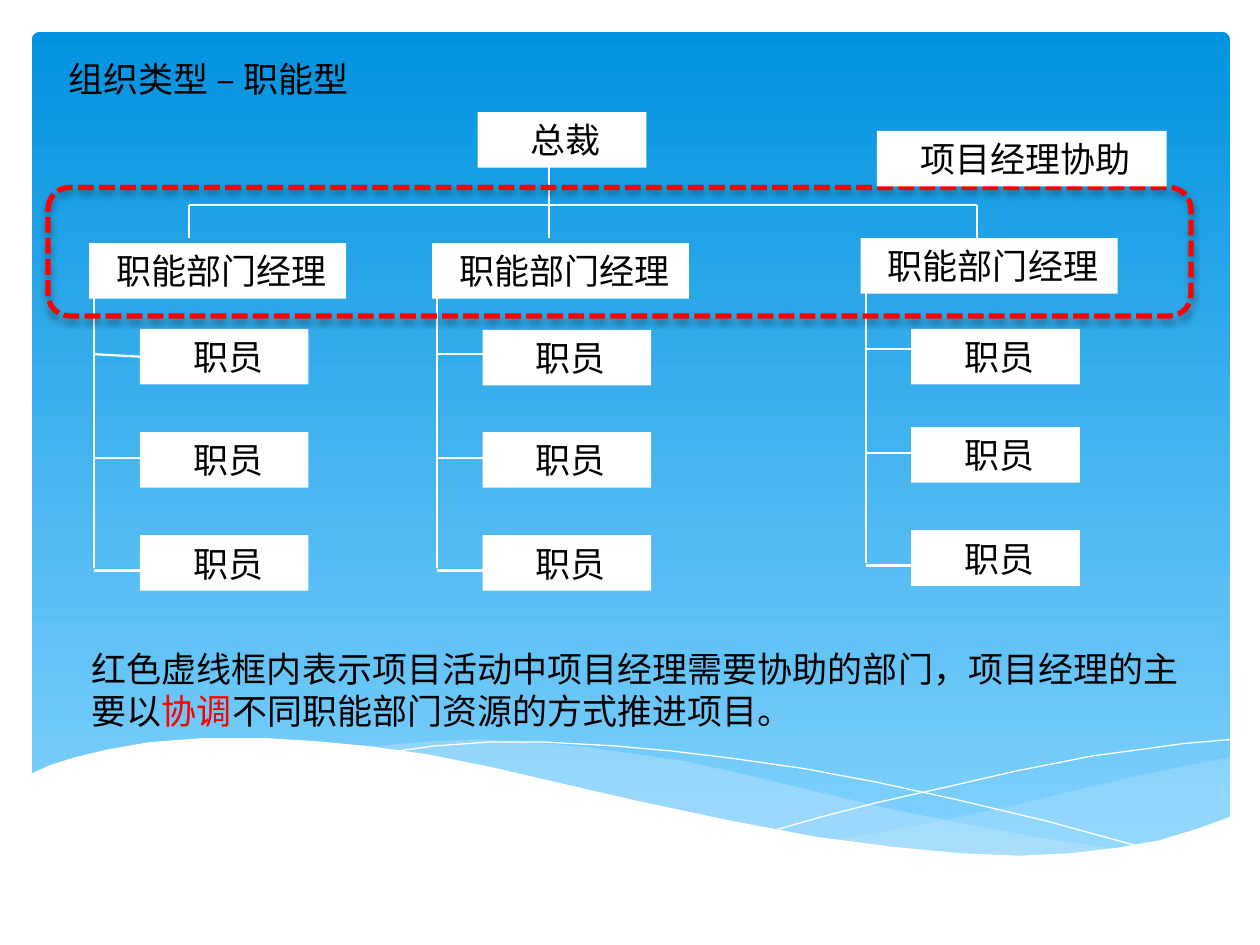
from dataclasses import dataclass

from lxml.etree import SubElement
from pptx import Presentation
from pptx.dml.color import RGBColor
from pptx.enum.dml import MSO_LINE as Dash
from pptx.enum.shapes import MSO_CONNECTOR as Conn, MSO_SHAPE as Kind
from pptx.enum.text import MSO_ANCHOR as Anchor, PP_ALIGN as Align
from pptx.oxml.ns import qn
from pptx.util import Cm, Pt

WHITE = RGBColor(0xFF, 0xFF, 0xFF)
BLACK = RGBColor(0, 0, 0)
RED = RGBColor(0xFF, 0, 0)
DEEP = RGBColor(0x02, 0x93, 0xE0)
SKY = RGBColor(0x83, 0xD3, 0xFE)
PALE = RGBColor(0xC6, 0xE7, 0xFC)

BOX_H = 1.12
STAFF_W = 3.4
INDENT = 1.02


@dataclass
class Wave:
    """A filled outline with its opacity, or an open white arc if fill is None."""
    points: list[tuple[float, float]]
    fill: RGBColor | None = None
    alpha: int = 100


@dataclass
class Dept:
    left: float
    top: float
    first: float  # top of the first staff box
    slant: float = 0


WAVES = [
    Wave([(24.82, 15.27), (24.13, 15.39), (23.04, 15.62), (21.89, 15.88),
          (20.47, 16.23), (19.15, 16.51), (17.96, 16.74), (16.81, 16.94),
          (17.93, 17.09), (18.95, 17.2), (19.86, 17.25), (20.96, 17.25),
          (21.95, 17.2), (22.81, 17.07), (23.6, 16.89), (24.16, 16.74),
          (24.82, 16.48)], PALE, 29),
    Wave([(22.71, 17.15), (21.29, 16.94), (19.71, 16.66), (17.96, 16.31),
          (16, 15.85), (14.83, 15.57), (13.77, 15.34), (12.75, 15.19),
          (11.81, 15.06), (10.67, 14.96), (9.65, 14.91), (8.76, 14.94),
          (7.29, 15.06), (8.71, 15.27), (10.29, 15.57), (11.43, 15.85),
          (13.46, 16.31), (15.29, 16.69), (16.92, 16.97), (18.36, 17.17),
          (19.66, 17.25), (20.8, 17.27), (21.82, 17.25)], PALE, 40),
    Wave([(7.87, 15.16), (8.74, 15.04), (9.86, 14.96), (11, 14.96),
          (12.42, 15.04), (13.54, 15.14), (14.78, 15.29), (16.18, 15.49),
          (17.68, 15.77), (19.33, 16.13), (21.13, 16.56), (23.06, 17.09)]),
    Wave([(15.6, 16.74), (16.59, 16.46), (17.68, 16.18), (19.02, 15.88),
          (20.5, 15.54), (22.02, 15.24), (23.14, 15.09), (23.85, 14.99),
          (24.79, 14.91)]),
    Wave([(24.82, 16.46), (24.13, 16.71), (23.37, 16.94), (22.53, 17.09),
          (21.59, 17.2), (20.55, 17.25), (19.33, 17.2), (17.98, 17.07),
          (16.46, 16.87), (14.71, 16.54), (12.78, 16.13), (11.35, 15.8),
          (9.93, 15.47), (8.64, 15.21), (7.42, 15.04), (6.35, 14.94),
          (5.36, 14.88), (4.09, 14.88), (3.02, 14.96), (2.16, 15.11),
          (1.5, 15.27), (1.02, 15.42), (0.58, 15.62), (0.58, 18.57),
          (24.82, 18.57)], WHITE),
]
DEPTS = [
    Dept(1.8, 4.9, 6.63, slant=0.05),
    Dept(8.71, 4.9, 6.65),
    Dept(17.35, 4.8, 6.63),
]


def put(shape, *runs: tuple[str, RGBColor], font: str = "Calibri",
        align=Align.LEFT, anchor=Anchor.TOP, wrap: bool = True) -> None:
    """Write coloured runs as one paragraph of the shape."""
    frame = shape.text_frame
    frame.word_wrap = wrap
    frame.vertical_anchor = anchor
    para = frame.paragraphs[0]
    para.alignment = align
    for text, color in runs:
        run = para.add_run()
        run.text = text
        run.font.size = Pt(20)
        run.font.name = font
        run.font.color.rgb = color


def add_form(slide, kind, left: float, top: float, width: float, height: float):
    shape = slide.shapes.add_shape(kind, Cm(left), Cm(top), Cm(width), Cm(height))
    shape.shadow.inherit = False
    return shape


def add_box(slide, text: str, left: float, top: float, width: float) -> None:
    box = add_form(slide, Kind.RECTANGLE, left, top, width, BOX_H)
    box.fill.solid()
    box.fill.fore_color.rgb = WHITE
    box.line.fill.background()
    put(box, (text, BLACK), align=Align.CENTER, anchor=Anchor.MIDDLE, wrap=False)


def add_note(slide, left: float, top: float, width: float, height: float):
    return slide.shapes.add_textbox(Cm(left), Cm(top), Cm(width), Cm(height))


def add_line(slide, x1: float, y1: float, x2: float, y2: float) -> None:
    line = slide.shapes.add_connector(
        Conn.STRAIGHT, Cm(x1), Cm(y1), Cm(x2), Cm(y2))
    line.line.color.rgb = WHITE
    line.line.width = Pt(1.25)
    SubElement(line.element.spPr, qn("a:effectLst"))


def add_alpha(color, percent: int) -> None:
    SubElement(color, qn("a:alpha"), val=str(percent * 1000))


def add_wave(slide, wave: Wave) -> None:
    start, *rest = [(Cm(x), Cm(y)) for x, y in wave.points]
    path = slide.shapes.build_freeform(*start)
    path.add_line_segments(rest, close=wave.fill is not None)
    shape = path.convert_to_shape()
    shape.shadow.inherit = False
    if wave.fill is None:
        shape.fill.background()
        shape.line.color.rgb = WHITE
        shape.line.width = Pt(0)
        return
    shape.fill.solid()
    shape.fill.fore_color.rgb = wave.fill
    shape.line.fill.background()
    if wave.alpha < 100:
        add_alpha(shape.element.spPr.find(f".//{qn('a:srgbClr')}"), wave.alpha)


def add_panel(slide) -> None:
    panel = add_form(slide, Kind.ROUNDED_RECTANGLE, 0.64, 0.64, 24.16, 16.76)
    panel.adjustments[0] = 0.01
    panel.fill.gradient()
    panel.fill.gradient_angle = 270
    for stop, color, place in zip(panel.fill.gradient_stops, (DEEP, SKY), (0, 1)):
        stop.color.rgb = color
        stop.position = place
    panel.line.fill.background()


def add_dept(slide, dept: Dept) -> None:
    """Draw a manager box with its spine, branches and staff boxes."""
    left, top = dept.left, dept.top
    spine, edge = left + 0.1, left + INDENT
    add_box(slide, " 职能部门经理", left, top, 5.18)
    add_line(slide, spine, top + 1.02, spine, top + 6.55)
    staff = (dept.first, top + 3.81, top + 5.89)
    for y, drop, slant in zip(staff, (2.24, 4.34, 6.6), (dept.slant, 0, 0)):
        add_line(slide, spine, top + drop, edge, top + drop + slant)
        add_box(slide, " 职员", edge, y, STAFF_W)


def add_frame(slide) -> None:
    frame = add_form(slide, Kind.ROUNDED_RECTANGLE, 0.97, 3.78, 23.04, 2.59)
    frame.fill.background()
    frame.line.color.rgb = RED
    frame.line.width = Pt(3)
    frame.line.dash_style = Dash.SQUARE_DOT
    shade = SubElement(
        frame.element.spPr.find(qn("a:effectLst")), qn("a:outerShdw"),
        blurRad=str(Pt(4)), dist=str(Pt(2)), dir="5400000", rotWithShape="0")
    add_alpha(SubElement(shade, qn("a:srgbClr"), val=str(BLACK)), 38)


def main() -> None:
    deck = Presentation()
    deck.slide_width, deck.slide_height = Cm(25.4), Cm(19.05)
    slide = deck.slides.add_slide(deck.slide_layouts[6])

    add_panel(slide)
    for wave in WAVES:
        add_wave(slide, wave)

    put(add_note(slide, 0.97, 1.04, 15.39, BOX_H),
        (" 组织类型 – 职能型", BLACK), font="Noto Sans CJK SC")
    add_box(slide, " 总裁", 9.63, 2.26, STAFF_W)
    for dept in DEPTS:
        add_dept(slide, dept)

    bar, foot, ends = 4.14, 4.8, (3.81, 19.69)
    add_line(slide, ends[0], bar, ends[1], bar)
    add_line(slide, 11.07, 3.3, 11.07, foot)
    for x in ends:
        add_line(slide, x, bar, x, foot)

    add_frame(slide)
    add_box(slide, " 项目经理协助", 17.68, 2.64, 5.84)
    put(add_note(slide, 1.6, 12.93, 23.04, 1.96),
        ("红色虚线框内表示项目活动中项目经理需要协助的部门，项目经理的主要以", BLACK),
        ("协调", RED),
        ("不同职能部门资源的方式推进项目。", BLACK))
    deck.save("out.pptx")


if __name__ == "__main__":
    main()
